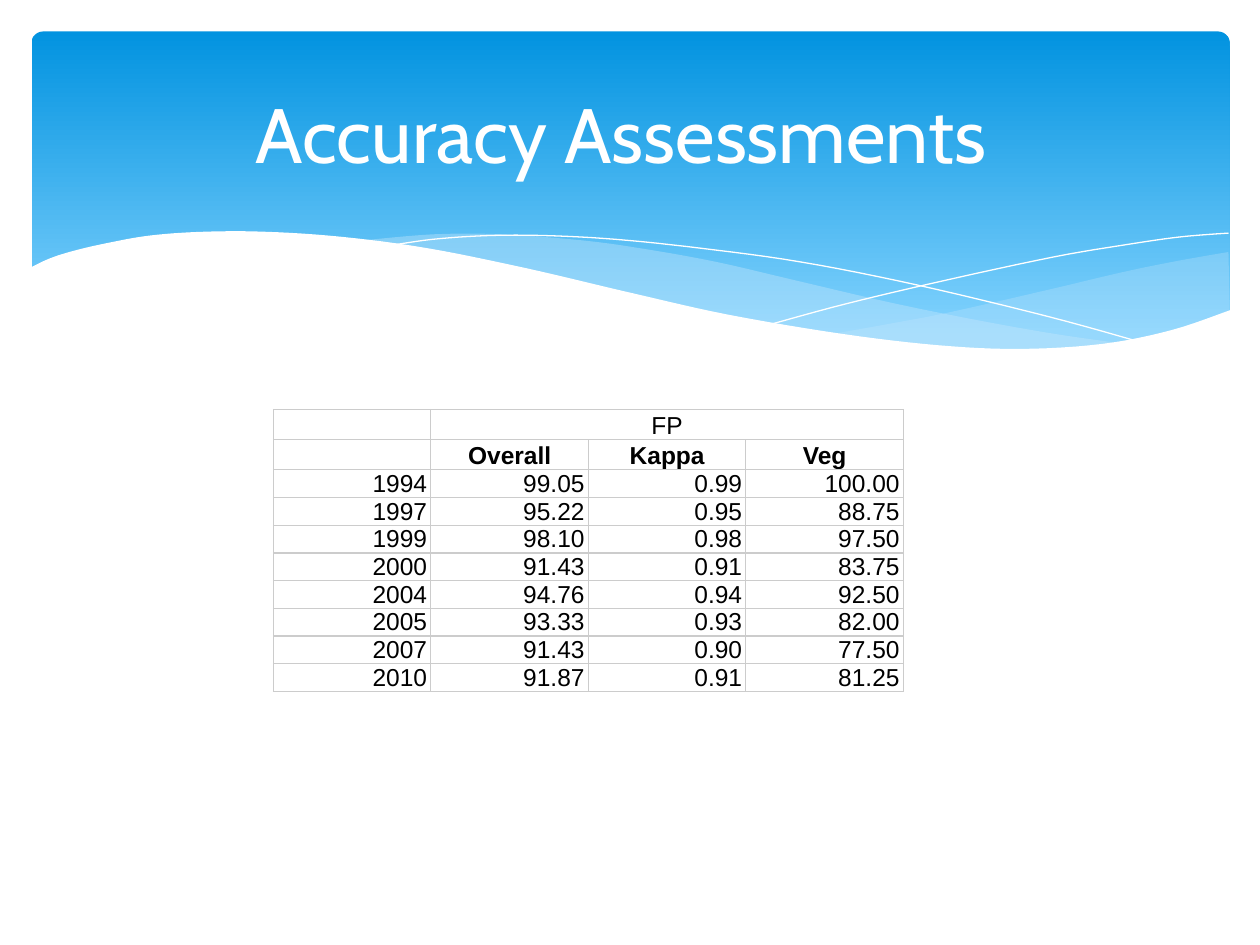
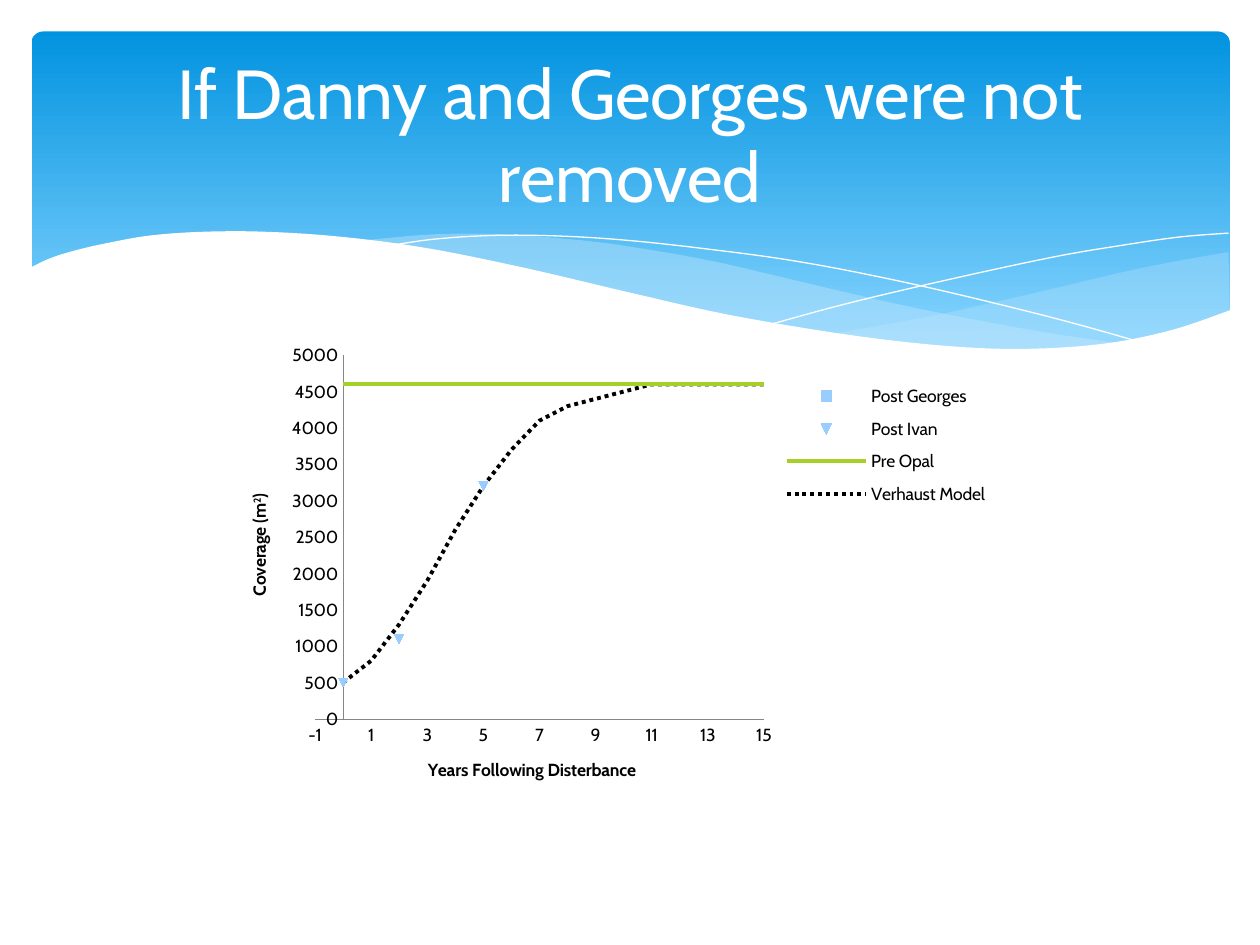
from dataclasses import dataclass
from lxml.etree import SubElement
from pptx import Presentation
from pptx.chart.data import XyChartData
from pptx.dml.color import RGBColor
from pptx.enum.chart import XL_CHART_TYPE as ChartType, XL_LEGEND_POSITION as LegendPos
from pptx.enum.chart import XL_MARKER_STYLE as Marker, XL_TICK_MARK as Tick
from pptx.enum.dml import MSO_LINE_DASH_STYLE as Dash
from pptx.enum.shapes import MSO_SHAPE as Shape
from pptx.enum.text import MSO_ANCHOR as Anchor, PP_ALIGN as Align
from pptx.oxml.ns import qn
from pptx.util import Emu, Pt

PX = 9144


@dataclass(frozen=True)
class Theme:
    white: str = "FFFFFF"
    black: str = "000000"
    sky_top: str = "0293E0"
    sky_bottom: str = "83D3FE"
    wave: str = "C6E7FC"
    grid: str = "CCCCCC"
    axis: str = "868686"
    green: str = "A5D028"
    font: str = "Cabin"
    table_font: str = "Arial"
    title: float = 44
    long_title: float = 39.6
    table: int = 14
    chart: float = 10


T = Theme()
SLIDE = (1000, 750)
BAND = (25, 25, 951, 270)
WAVES = (23, 184, 954, 145)
TITLE = (50, 37, 900, 137)
TABLE = (217, 325, 500, 224)
CHART = (175, 267, 625, 375)

FAR_TOP = [(952, 16), (912, 23), (868, 32), (809, 46), (730, 64), (683, 73), (638, 81)]
FAR_BOTTOM = [(638, 81), (682, 87), (734, 92), (780, 94), (831, 92), (874, 86),
              (912, 78), (953, 63)]
NEAR_TOP = [(870, 89), (814, 81), (752, 70), (683, 56), (606, 38), (546, 24),
            (491, 14), (441, 7), (376, 2), (321, 2), (263, 7)]
NEAR_BOTTOM = [(263, 7), (319, 15), (381, 27), (468, 48), (543, 64), (611, 77),
               (672, 86), (725, 92), (773, 95), (825, 93), (870, 89)]
FALLING = [(286, 11), (320, 6), (364, 3), (410, 3), (466, 6), (533, 13), (613, 24),
           (704, 42), (808, 67), (884, 88)]
RISING = [(590, 73), (649, 57), (725, 39), (813, 20), (872, 10), (914, 4), (952, 1)]
SHORE = [(954, 62), (907, 78), (852, 89), (786, 93), (721, 90), (645, 81), (556, 66),
         (480, 49), (395, 29), (316, 13), (248, 4), (188, 0), (138, 0), (96, 3),
         (62, 9), (36, 15), (17, 21), (0, 29)]

ACCURACY = [
    ("1994", "99.05", "0.99", "100.00"),
    ("1997", "95.22", "0.95", "88.75"),
    ("1999", "98.10", "0.98", "97.50"),
    ("2000", "91.43", "0.91", "83.75"),
    ("2004", "94.76", "0.94", "92.50"),
    ("2005", "93.33", "0.93", "82.00"),
    ("2007", "91.43", "0.90", "77.50"),
    ("2010", "91.87", "0.91", "81.25"),
]
YEARS = range(16)
MODEL = [500, 800, 1300, 1900, 2600, 3200, 3700, 4100, 4300, 4400, 4500] + [4600] * 5
COVERAGE = {
    "Post Georges": {},
    "Post Ivan": {0: 500, 2: 1100, 5: 3200},
    "Pre Opal": dict.fromkeys(YEARS, 4600),
    "Verhaust Model": dict(enumerate(MODEL)),
}


def emu(box):
    return [Emu(v * PX) for v in box]


def rgb(color):
    return RGBColor.from_string(color)


def style(font, size, color=T.black, name=T.font, bold=False):
    font.size, font.name, font.bold = Pt(size), name, bold
    font.color.rgb = rgb(color)


def add_run(p, text, *args, **kwargs):
    r = p.add_run()
    r.text = text
    style(r.font, *args, **kwargs)
    return r


def smooth(points, steps=6):
    ends = [points[0], *points, points[-1]]
    curve = [points[0]]
    for a, b, c, d in zip(ends, ends[1:], ends[2:], ends[3:]):
        for t in (i / steps for i in range(1, steps + 1)):
            curve.append(tuple(
                (2 * q + (r - p) * t + (2 * p - 5 * q + 4 * r - s) * t ** 2
                 + (3 * q - p - 3 * r + s) * t ** 3) / 2
                for p, q, r, s in zip(a, b, c, d)))
    return curve


def add_outline(slide, box, points, fill=None, alpha=100):
    left, top = box[:2]
    path = [((left + x) * PX, (top + y) * PX) for x, y in points]
    fb = slide.shapes.build_freeform(*path[0], scale=1.0)
    fb.add_line_segments(path[1:], close=fill is not None)
    sp = fb.convert_to_shape()
    sp.shadow.inherit = False
    if fill is None:
        sp.fill.background()
        sp.line.color.rgb = rgb(T.white)
        sp.line.width = Pt(0)
        return
    sp.line.fill.background()
    sp.fill.solid()
    sp.fill.fore_color.rgb = rgb(fill)
    if alpha < 100:
        color = sp.fill._xPr.find(".//" + qn("a:srgbClr"))
        SubElement(color, qn("a:alpha"), val=str(alpha * 1000))


def add_band(slide, box):
    sp = slide.shapes.add_shape(Shape.ROUNDED_RECTANGLE, *emu(box))
    sp.adjustments[0] = 0.034
    sp.shadow.inherit = False
    sp.line.fill.background()
    sp.fill.gradient()
    sp.fill.gradient_angle = 270
    stops = ((0, T.sky_top), (0.9, T.sky_bottom))
    for stop, (position, color) in zip(sp.fill.gradient_stops, stops):
        stop.position = position
        stop.color.rgb = rgb(color)


def add_waves(slide, box):
    width, height = box[2:]
    add_outline(slide, box, smooth(FAR_TOP) + smooth(FAR_BOTTOM), T.wave, 29)
    add_outline(slide, box, smooth(NEAR_TOP) + smooth(NEAR_BOTTOM), T.wave, 40)
    for line in (FALLING, RISING):
        add_outline(slide, box, smooth(line))
    add_outline(slide, box, smooth(SHORE) + [(0, height), (width, height)], T.white)


def add_title(slide, box, text, size):
    tf = slide.shapes.add_textbox(*emu(box)).text_frame
    tf.word_wrap = True
    tf.vertical_anchor = Anchor.MIDDLE
    p = tf.paragraphs[0]
    p.alignment = Align.CENTER
    add_run(p, text, size, T.white)


def add_slide(prs, title, size):
    slide = prs.slides.add_slide(prs.slide_layouts[6])
    add_band(slide, BAND)
    add_waves(slide, WAVES)
    add_title(slide, TITLE, title, size)
    return slide


def fill_cell(cell, text, header, bold):
    cell.margin_left = cell.margin_right = Emu(3 * PX)
    cell.margin_top = cell.margin_bottom = 0
    cell.vertical_anchor = Anchor.BOTTOM
    tcPr = cell._tc.get_or_add_tcPr()
    for side in ("lnL", "lnR", "lnT", "lnB"):
        ln = SubElement(tcPr, qn("a:" + side), w=str(Pt(0.75)))
        SubElement(SubElement(ln, qn("a:solidFill")), qn("a:srgbClr"), val=T.grid)
    cell.fill.background()
    p = cell.text_frame.paragraphs[0]
    p.alignment = Align.CENTER if header else Align.RIGHT
    if not header:
        p.line_spacing = 0.93
    if text:
        add_run(p, text, T.table, name=T.table_font, bold=bold)
    else:
        SubElement(p._p, qn("a:endParaRPr"), sz=str(T.table * 100))


def add_accuracy_table(slide, box):
    rows = [("", "FP", "", ""), ("", "Overall", "Kappa", "Veg"), *ACCURACY]
    table = slide.shapes.add_table(len(rows), len(rows[0]), *emu(box)).table
    table.first_row = table.horz_banding = False
    for i, row in enumerate(rows):
        header = i < 2
        table.rows[i].height = Emu((24 if header else 22) * PX)
        for j, text in enumerate(row):
            fill_cell(table.cell(i, j), text, header, bold=i == 1)
    table.cell(0, 1).merge(table.cell(0, 3))


def set_layout(parent, index, x, y, w, h, inner=False):
    for old in parent.findall(qn("c:layout")):
        parent.remove(old)
    layout = parent.makeelement(qn("c:layout"))
    parent.insert(index, layout)
    manual = SubElement(layout, qn("c:manualLayout"))
    if inner:
        SubElement(manual, qn("c:layoutTarget"), val="inner")
    for tag in ("xMode", "yMode"):
        SubElement(manual, qn("c:" + tag), val="edge")
    for tag, value in zip("xywh", (x, y, w, h)):
        SubElement(manual, qn("c:" + tag), val=str(value))


def format_axis(axis, low, high, step, title):
    axis.minimum_scale, axis.maximum_scale, axis.major_unit = low, high, step
    axis.has_major_gridlines = False
    axis.major_tick_mark = axis.minor_tick_mark = Tick.NONE
    axis.format.line.color.rgb = rgb(T.axis)
    axis.format.line.width = Pt(0.25)
    style(axis.tick_labels.font, T.chart)
    axis.tick_labels.number_format = "0"
    axis.tick_labels.number_format_is_linked = False
    p = axis.axis_title.text_frame.paragraphs[0]
    for text, raised in title:
        r = add_run(p, text, T.chart, bold=True)
        if raised:
            r.font._element.set("baseline", "30000")


def format_line(series, color, width, dash=Dash.SOLID):
    series.marker.style = Marker.NONE
    series.format.line.color.rgb = rgb(color)
    series.format.line.width = Pt(width)
    series.format.line.dash_style = dash


def add_coverage_chart(slide, box):
    data = XyChartData()
    for name, coverage in COVERAGE.items():
        series = data.add_series(name)
        for year in YEARS:
            series.add_data_point(year, coverage.get(year))
    chart = slide.shapes.add_chart(ChartType.XY_SCATTER, *emu(box), data).chart
    style(chart.font, T.chart)
    chart.has_title = False
    format_axis(chart.category_axis, -1, 15, 2, [("Years Following Disterbance", False)])
    format_axis(chart.value_axis, 0, 5000, 500,
                [("Coverage (m", False), ("2", True), (")", False)])
    plot = chart.plots[0]
    plot.vary_by_categories = False
    georges, ivan, opal, model = plot.series
    georges.marker.style = Marker.SQUARE
    for series in (georges, ivan):
        series.format.line.fill.background()
    format_line(opal, T.green, 2.25)
    format_line(model, T.black, 2.25, Dash.ROUND_DOT)
    for series in plot.series:
        series.smooth = False
    chart.has_legend = True
    chart.legend.position = LegendPos.RIGHT
    chart.legend.include_in_layout = False
    style(chart.legend.font, T.chart)
    set_layout(chart.legend._element, 1, 0.71, 0.08, 0.27, 0.3)
    set_layout(chart._chartSpace.chart.plotArea, 0, 0.12, 0.04, 0.57, 0.77, inner=True)


def main():
    prs = Presentation()
    prs.slide_width, prs.slide_height = emu(SLIDE)
    add_accuracy_table(add_slide(prs, "Accuracy Assessments ", T.title), TABLE)
    add_coverage_chart(
        add_slide(prs, "If Danny and Georges were not removed", T.long_title), CHART)
    prs.save("out.pptx")


if __name__ == "__main__":
    main()
